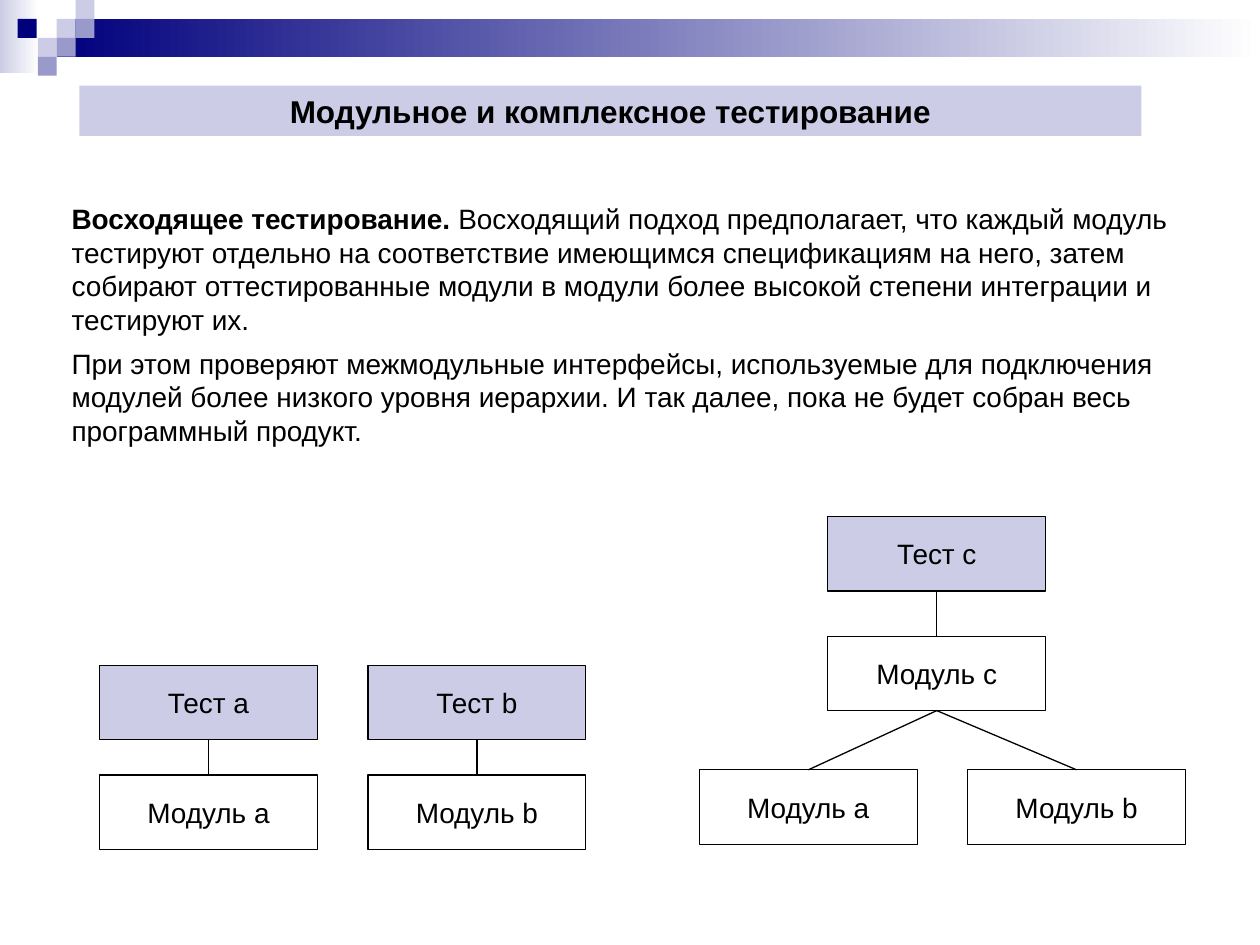
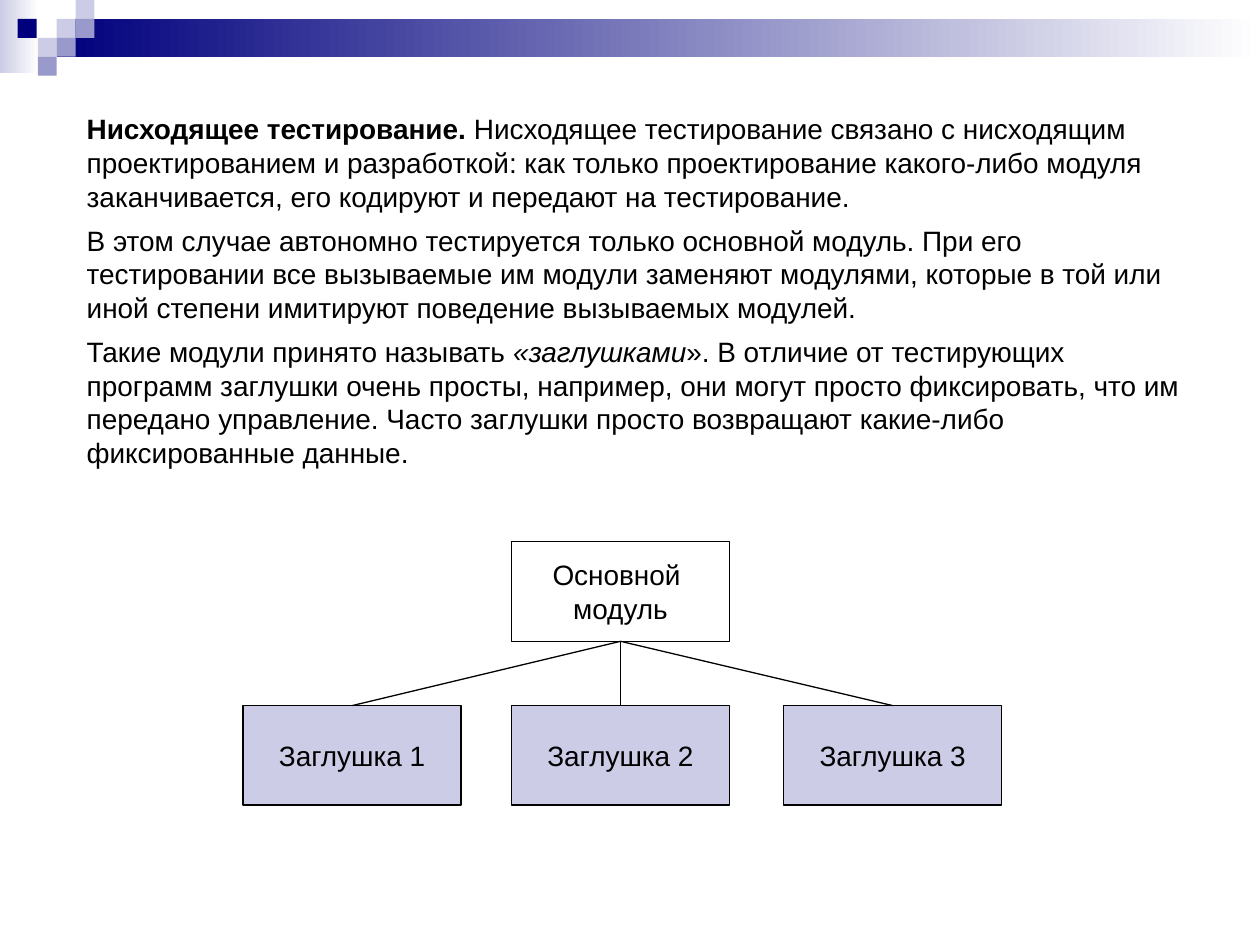
from lxml.etree import SubElement
from pptx import Presentation
from pptx.dml.color import RGBColor
from pptx.enum.shapes import MSO_CONNECTOR, MSO_SHAPE
from pptx.enum.text import MSO_ANCHOR, PP_ALIGN
from pptx.oxml.ns import qn
from pptx.util import Inches, Pt

FONT = "Arial"
BLACK, WHITE = "000000", "FFFFFF"
NAVY, VIOLET, LAVENDER = "00007D", "9999CC", "CCCCE6"
BODY_SIZE, TITLE_SIZE = 16, 18
BOX_WIDTH = 1.73
COLUMN_STEP = 2.13
SQUARE = 0.15
SQUARES = [
    (0.45, 0.15, LAVENDER), (0.6, 0, LAVENDER), (0.6, 0.15, VIOLET),
    (0.3, 0.3, LAVENDER), (0.14, 0.15, NAVY), (0.45, 0.3, VIOLET),
    (0.3, 0.45, VIOLET),
]


def color(value):
    return RGBColor.from_string(value)


def format_run(run, size, bold=False, italic=False):
    run.font.name = FONT
    run.font.size = Pt(size)
    run.font.bold = bold
    run.font.italic = italic
    run.font.color.rgb = color(BLACK)


def add_rectangle(slide, left, top, width, height, fill=None):
    """Add a rectangle without outline or shadow, hollow if no fill is given."""
    shape = slide.shapes.add_shape(
        MSO_SHAPE.RECTANGLE, Inches(left), Inches(top), Inches(width), Inches(height))
    shape.shadow.inherit = False
    shape.line.fill.background()
    if fill:
        shape.fill.solid()
        shape.fill.fore_color.rgb = color(fill)
    else:
        shape.fill.background()
    return shape


def add_fading_band(slide, left, top, width, height, start):
    """Add a rectangle that fades to white from left to right."""
    band = add_rectangle(slide, left, top, width, height)
    band.fill.gradient()
    band.fill.gradient_angle = 0
    for stop, value in zip(band.fill.gradient_stops, (start, WHITE)):
        stop.color.rgb = color(value)


def add_header(slide):
    add_fading_band(slide, 0, 0, 0.31, 0.58, LAVENDER)
    add_fading_band(slide, 0.45, 0.15, 9.55, 0.3, NAVY)
    for left, top, fill in SQUARES:
        add_rectangle(slide, left, top, SQUARE, SQUARE, fill)


def set_centred_text(shape, text, size, bold=False):
    frame = shape.text_frame
    frame.text = text
    frame.vertical_anchor = MSO_ANCHOR.MIDDLE
    for paragraph in frame.paragraphs:
        paragraph.alignment = PP_ALIGN.CENTER
        for run in paragraph.runs:
            format_run(run, size, bold)


def add_title(slide, text):
    title = add_rectangle(slide, 0.63, 0.68, 8.43, 0.4, LAVENDER)
    set_centred_text(title, text, TITLE_SIZE, bold=True)


def add_body(slide, left, top, width, height, paragraphs):
    """Add running text; each paragraph is a list of (text, style) pairs."""
    box = slide.shapes.add_textbox(
        Inches(left), Inches(top), Inches(width), Inches(height))
    frame = box.text_frame
    frame.word_wrap = True
    for index, pieces in enumerate(paragraphs):
        paragraph = frame.add_paragraph() if index else frame.paragraphs[0]
        paragraph.space_after = Pt(6)
        for text, style in pieces:
            run = paragraph.add_run()
            run.text = text
            format_run(run, BODY_SIZE, bold=style == "bold", italic=style == "italic")


def add_box(slide, text, left, top, height=0.59, fill=None):
    box = add_rectangle(slide, left, top, BOX_WIDTH, height, fill)
    box.line.color.rgb = color(BLACK)
    box.line.width = Pt(0.75)
    box.text_frame.word_wrap = False
    set_centred_text(box, text, BODY_SIZE)
    return box


def connect(slide, upper, lower):
    """Join the bottom of the upper box to the top of the lower one."""
    connector = slide.shapes.add_connector(MSO_CONNECTOR.STRAIGHT, 0, 0, 0, 0)
    connector.begin_connect(upper, 2)
    connector.end_connect(lower, 0)
    connector.line.color.rgb = color(BLACK)
    connector.line.width = Pt(0.75)
    SubElement(connector._element.spPr, qn("a:effectLst"))


def add_slide(presentation):
    slide = presentation.slides.add_slide(presentation.slide_layouts[6])
    add_header(slide)
    return slide


def build_bottom_up_slide(presentation):
    slide = add_slide(presentation)
    add_title(slide, "Модульное и комплексное тестирование")
    add_body(slide, 0.47, 1.55, 9.1, 2.05, [
        [("Восходящее тестирование. ", "bold"),
         ("Восходящий подход предполагает, что каждый модуль тестируют отдельно "
          "на соответствие имеющимся спецификациям на него, затем собирают "
          "оттестированные модули в модули более высокой степени интеграции "
          "и тестируют их.", None)],
        [("При этом проверяют межмодульные интерфейсы, используемые для "
          "подключения модулей более низкого уровня иерархии. И так далее, "
          "пока не будет собран весь программный продукт.", None)],
    ])

    test_c = add_box(slide, "Тест с", 6.57, 4.1, fill=LAVENDER)
    module_c = add_box(slide, "Модуль с", 6.57, 5.05)
    connect(slide, test_c, module_c)
    for column, letter in enumerate("ab"):
        offset = column * COLUMN_STEP
        test = add_box(slide, f"Тест {letter}", 0.79 + offset, 5.28, fill=LAVENDER)
        module = add_box(slide, f"Модуль {letter}", 0.79 + offset, 6.15)
        connect(slide, test, module)
        integrated_module = add_box(slide, f"Модуль {letter}", 5.55 + offset, 6.11)
        connect(slide, module_c, integrated_module)


def build_top_down_slide(presentation):
    slide = add_slide(presentation)
    add_body(slide, 0.59, 0.84, 8.94, 2.94, [
        [("Нисходящее тестирование. ", "bold"),
         ("Нисходящее тестирование связано с нисходящим проектированием и "
          "разработкой: как только проектирование какого-либо модуля "
          "заканчивается, его кодируют и передают на тестирование.", None)],
        [("В этом случае автономно тестируется только основной модуль. При его "
          "тестировании все вызываемые им модули заменяют модулями, которые в "
          "той или иной степени имитируют поведение вызываемых модулей.", None)],
        [("Такие модули принято называть ", None),
         ("«заглушками", "italic"),
         ("». В отличие от тестирующих программ заглушки очень просты, "
          "например, они могут просто фиксировать, что им передано управление. "
          "Часто заглушки просто возвращают какие-либо фиксированные данные.", None)],
    ])

    main_module = add_box(slide, "Основной \nмодуль", 4.06, 4.3, height=0.79)
    for number, left in enumerate((1.93, 4.06, 6.22), start=1):
        stub = add_box(slide, f"Заглушка {number}", left, 5.6, height=0.79, fill=LAVENDER)
        connect(slide, main_module, stub)


def main():
    presentation = Presentation()
    presentation.slide_width = Inches(10)
    presentation.slide_height = Inches(7.5)
    build_bottom_up_slide(presentation)
    build_top_down_slide(presentation)
    presentation.save("out.pptx")


if __name__ == "__main__":
    main()
